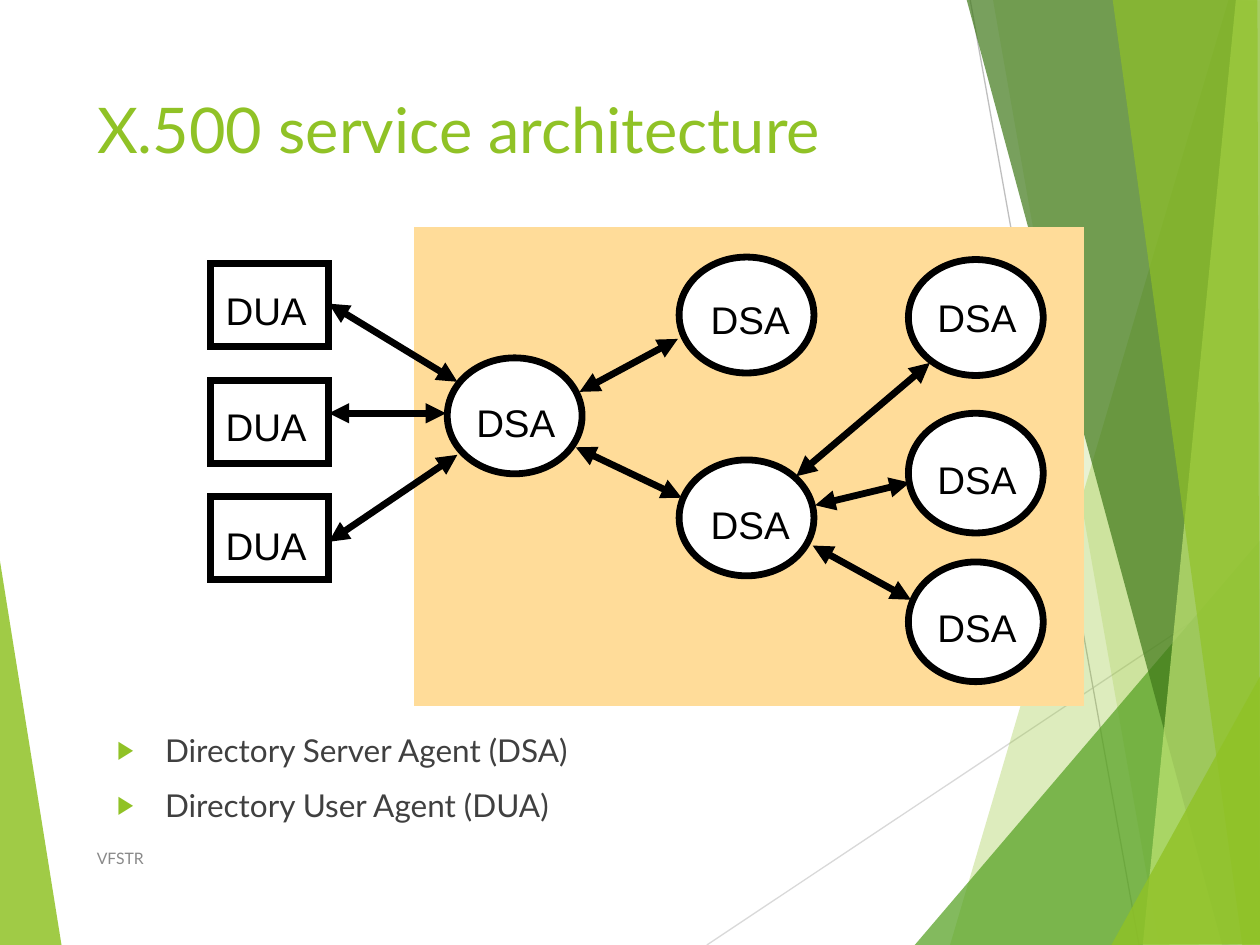
from typing import NamedTuple

from lxml.etree import SubElement
from pptx import Presentation
from pptx.dml.color import RGBColor
from pptx.enum.shapes import MSO_CONNECTOR as Link, MSO_SHAPE as Preset
from pptx.enum.text import MSO_ANCHOR as Anchor, MSO_AUTO_SIZE as AutoSize, PP_ALIGN as Align
from pptx.oxml.ns import qn
from pptx.util import Inches, Pt

# All lengths are cells of a grid of 1000 columns by 750 rows.
CELL = Inches(0.01)
COLUMNS, ROWS = 1000, 750

LIME = RGBColor(0x90, 0xC2, 0x26)
GREEN = RGBColor(0x54, 0xA0, 0x21)
FOREST = RGBColor(0x3F, 0x78, 0x19)
PALE_LIME = RGBColor(0xC0, 0xE4, 0x74)
LIGHT_GREY = RGBColor(0xD9, 0xD9, 0xD9)
MID_GREY = RGBColor(0xBF, 0xBF, 0xBF)
FOOTER_GREY = RGBColor(0x89, 0x89, 0x89)
BODY_GREY = RGBColor(0x40, 0x40, 0x40)
SAND = RGBColor(0xFF, 0xDC, 0x99)
WHITE = RGBColor(0xFF, 0xFF, 0xFF)
BLACK = RGBColor(0, 0, 0)

DIAGRAM_LINE = 3.88
AGENT_WIDTH = {"DUA": 94, "DSA": 107}
LABEL_WIDTH, LABEL_HEIGHT = 68, 37


class Facet(NamedTuple):
    color: RGBColor
    opacity: int
    points: list[tuple[int, int]]


class Agent(NamedTuple):
    kind: str
    left: int
    top: int
    height: int
    label_left: int
    label_top: int


class Line(NamedTuple):
    start: tuple[int, int]
    end: tuple[int, int]


FACETS = [
    Facet(LIME, 85, [(-1, 439), (49, 751), (-1, 750)]),
    Facet(LIME, 30, [(975, 0), (754, 750), (1002, 751), (1001, 1)]),
    Facet(LIME, 20, [(788, -1), (920, 750), (1001, 750), (1001, -1)]),
    Facet(GREEN, 72, [(726, 750), (1000, 429), (1001, 750)]),
    Facet(FOREST, 70, [(767, -1), (970, 750), (1001, 749), (1001, -1)]),
    Facet(PALE_LIME, 70, [(981, -1), (907, 750), (1001, 750), (1000, -1)]),
    Facet(LIME, 65, [(883, -1), (986, 750), (1000, 750), (998, -1)]),
    Facet(LIME, 80, [(882, 750), (1001, 535), (1001, 749)]),
]
HAIRLINES = [
    (Line((561, 750), (1001, 457)), LIGHT_GREY),
    (Line((770, 0), (904, 750)), MID_GREY),
]
AGENTS = [
    Agent("DUA", 167, 209, 66, 179, 228),
    Agent("DUA", 167, 302, 66, 179, 320),
    Agent("DUA", 167, 394, 66, 179, 414),
    Agent("DSA", 355, 284, 92, 378, 317),
    Agent("DSA", 539, 204, 92, 564, 235),
    Agent("DSA", 539, 365, 92, 564, 398),
    Agent("DSA", 721, 206, 92, 744, 233),
    Agent("DSA", 721, 328, 95, 744, 362),
    Agent("DSA", 721, 446, 95, 744, 479),
]
EXCHANGES = [
    Line((261, 241), (363, 303)),
    Line((261, 328), (354, 328)),
    Line((261, 430), (363, 361)),
    Line((460, 311), (538, 269)),
    Line((457, 355), (541, 395)),
    Line((632, 378), (738, 288)),
    Line((647, 401), (722, 383)),
    Line((645, 433), (723, 476)),
]


def cells(*counts: int) -> list[int]:
    return [count * CELL for count in counts]


def style_font(paragraph, name: str, size: float, color: RGBColor) -> None:
    paragraph.font.name = name
    paragraph.font.size = Pt(size)
    paragraph.font.color.rgb = color


def place(shape, left: int, top: int, width: int, height: int) -> None:
    shape.left, shape.top, shape.width, shape.height = cells(left, top, width, height)


def draw_facet(shapes, facet: Facet) -> None:
    builder = shapes.build_freeform(*facet.points[0], scale=CELL)
    builder.add_line_segments(facet.points[1:], close=True)
    outline = builder.convert_to_shape()
    outline.shadow.inherit = False
    outline.line.fill.background()
    outline.fill.solid()
    outline.fill.fore_color.rgb = facet.color
    color = outline.fill._xPr.find(".//" + qn("a:srgbClr"))
    SubElement(color, qn("a:alpha"), val=str(facet.opacity * 1000))


def draw_line(shapes, line: Line, color: RGBColor, points: float, arrows: bool = False) -> None:
    connector = shapes.add_connector(Link.STRAIGHT, *cells(*line.start, *line.end))
    connector.line.color.rgb = color
    connector.line.width = Pt(points)
    if arrows:
        for end in ("a:headEnd", "a:tailEnd"):
            SubElement(connector.line._get_or_add_ln(), qn(end), type="triangle")
    SubElement(connector._element.spPr, qn("a:effectLst"))


def draw_outlined(shapes, preset, box: tuple[int, ...], line: RGBColor, fill: RGBColor) -> None:
    """Draw a filled shape whose thick outline keeps sharp corners."""
    shape = shapes.add_shape(preset, *cells(*box))
    shape.shadow.inherit = False
    shape.fill.solid()
    shape.fill.fore_color.rgb = fill
    shape.line.color.rgb = line
    shape.line.width = Pt(DIAGRAM_LINE)
    SubElement(shape.line._get_or_add_ln(), qn("a:miter"), lim="800000")


def draw_agent(shapes, agent: Agent) -> None:
    preset = Preset.RECTANGLE if agent.kind == "DUA" else Preset.OVAL
    box = (agent.left, agent.top, AGENT_WIDTH[agent.kind], agent.height)
    draw_outlined(shapes, preset, box, BLACK, WHITE)


def draw_label(shapes, agent: Agent) -> None:
    box = cells(agent.label_left, agent.label_top, LABEL_WIDTH, LABEL_HEIGHT)
    frame = shapes.add_textbox(*box).text_frame
    frame.margin_left = frame.margin_right = frame.margin_top = frame.margin_bottom = 0
    frame.word_wrap = True
    frame.text = agent.kind
    style_font(frame.paragraphs[0], "Arial", 22, BLACK)


def add_bullet(paragraph) -> None:
    properties = paragraph._p.get_or_add_pPr()
    indent = Inches(0.38)
    properties.set("marL", str(indent))
    properties.set("indent", str(-indent))
    color = SubElement(properties, qn("a:buClr"))
    SubElement(color, qn("a:srgbClr"), val=str(LIME))
    SubElement(properties, qn("a:buSzPct"), val="80000")
    SubElement(properties, qn("a:buFont"), typeface="Arial")
    SubElement(properties, qn("a:buChar"), char="▶")


def write_title(title) -> None:
    place(title, 67, 67, 694, 144)
    frame = title.text_frame
    frame.text = "X.500 service architecture"
    frame.vertical_anchor = Anchor.TOP
    frame.auto_size = AutoSize.NONE
    frame.paragraphs[0].alignment = Align.LEFT
    style_font(frame.paragraphs[0], "Lato", 36, LIME)


def write_glossary(body) -> None:
    place(body, 83, 575, 850, 100)
    frame = body.text_frame
    frame.auto_size = AutoSize.NONE
    frame.text = "Directory Server Agent (DSA)\nDirectory User Agent (DUA)"
    for index, paragraph in enumerate(frame.paragraphs):
        add_bullet(paragraph)
        paragraph.space_before = Pt(10 if index else 0)
        style_font(paragraph, "Lato", 18, BODY_GREY)


def write_footer(shapes) -> None:
    frame = shapes.add_textbox(*cells(67, 661, 506, 40)).text_frame
    frame.word_wrap = True
    frame.vertical_anchor = Anchor.MIDDLE
    frame.text = "VFSTR"
    style_font(frame.paragraphs[0], "Lato", 9, FOOTER_GREY)


def main() -> None:
    deck = Presentation()
    deck.slide_width, deck.slide_height = cells(COLUMNS, ROWS)
    slide = deck.slides.add_slide(deck.slide_layouts[1])
    shapes = slide.shapes
    write_title(shapes.title)
    write_glossary(slide.placeholders[1])
    for line, color in HAIRLINES:
        draw_line(shapes, line, color, 0.75)
    for facet in FACETS:
        draw_facet(shapes, facet)
    draw_outlined(shapes, Preset.RECTANGLE, (331, 183, 527, 375), SAND, SAND)
    for agent in AGENTS:
        draw_agent(shapes, agent)
    for exchange in EXCHANGES:
        draw_line(shapes, exchange, BLACK, DIAGRAM_LINE, arrows=True)
    for agent in AGENTS:
        draw_label(shapes, agent)
    write_footer(shapes)
    deck.save("out.pptx")


if __name__ == "__main__":
    main()
